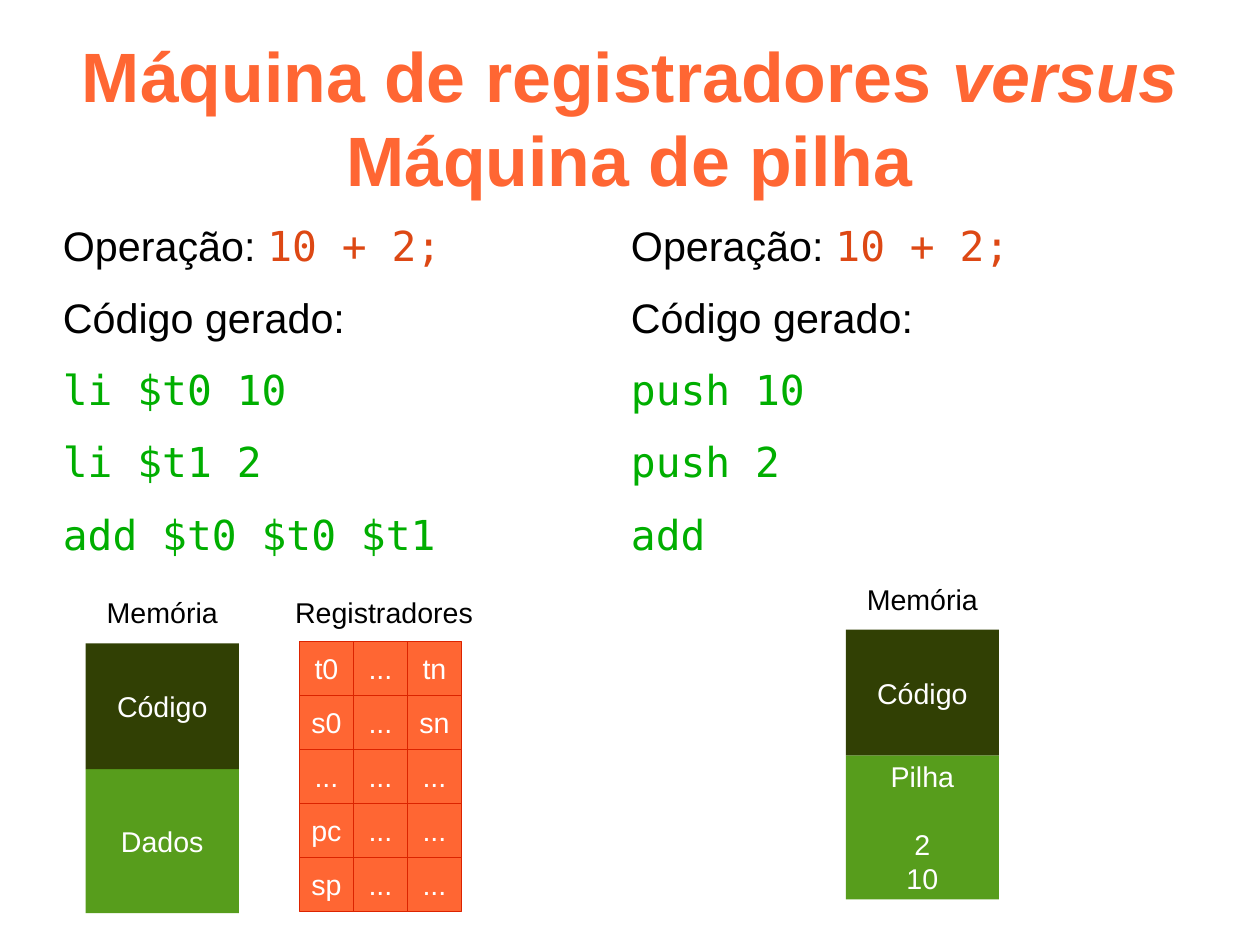
from pptx import Presentation
from pptx.dml.color import RGBColor
from pptx.enum.shapes import MSO_SHAPE as Shape
from pptx.enum.text import MSO_ANCHOR as Anchor, MSO_AUTO_SIZE as AutoSize, PP_ALIGN as Align
from pptx.oxml.xmlchemy import OxmlElement
from pptx.util import Cm, Inches, Pt

BLACK = RGBColor(0x00, 0x00, 0x00)
WHITE = RGBColor(0xFF, 0xFF, 0xFF)
ORANGE = RGBColor(0xFF, 0x66, 0x33)
RED = RGBColor(0xDC, 0x23, 0x00)
OPERATION_RED = RGBColor(0xDD, 0x48, 0x14)
CODE_GREEN = RGBColor(0x00, 0xAE, 0x00)
DARK_GREEN = RGBColor(0x31, 0x40, 0x04)
LIGHT_GREEN = RGBColor(0x57, 0x9D, 0x1C)
SANS, MONO = "Arial", "DejaVu Sans Mono"

TITLE_BOX = (0.55, 0.33, 9.92, 1.38)
COLUMN_LEFTS = (0.55, 5.52)
COLUMN_TOP, COLUMN_WIDTH, COLUMN_HEIGHT = 1.93, 4.73, 4.79
DIAGRAM_TOP, STACK_TOP = 5.16, 5.04
MEMORY_WIDTH, CODE_HEIGHT, DATA_HEIGHT = 1.34, 1.1, 1.26
LABEL_WIDTH, LABEL_HEIGHT, LABEL_STEP = 1.17, 0.38, 0.47
CELL = Cm(1.2).inches
REGISTERS = (("t0", "...", "tn"), ("s0", "...", "sn"), ("...",) * 3,
             ("pc", "...", "..."), ("sp", "...", "..."))


def place(shape, left, top, width, height):
    """Move a placeholder to a box in inches and clear its margins."""
    shape.left, shape.top = Inches(left), Inches(top)
    shape.width, shape.height = Inches(width), Inches(height)
    frame = shape.text_frame
    frame.margin_left = frame.margin_right = frame.margin_top = frame.margin_bottom = 0
    frame.word_wrap, frame.auto_size = True, AutoSize.NONE
    return frame


def add_run(paragraph, text, size, color, font=SANS):
    """Append a formatted run and return it."""
    run = paragraph.add_run()
    run.text = text
    run.font.size, run.font.name, run.font.color.rgb = Pt(size), font, color
    return run


def fill_title(placeholder, box):
    """Write the title with its middle word in italics."""
    frame = place(placeholder, *box)
    frame.vertical_anchor = Anchor.MIDDLE
    paragraph = frame.paragraphs[0]
    paragraph.alignment = Align.CENTER
    for text in ("Máquina de registradores ", "versus", " Máquina de pilha"):
        run = add_run(paragraph, text, 44, ORANGE)
        run.font.bold, run.font.italic = True, text == "versus"


def fill_column(placeholder, left, instructions):
    """Write the operation and the code generated for one machine."""
    frame = place(placeholder, left, COLUMN_TOP, COLUMN_WIDTH, COLUMN_HEIGHT)
    frame.vertical_anchor = Anchor.TOP
    lines = [[("Operação: ", BLACK, SANS), ("10 + 2;", OPERATION_RED, MONO)],
             [("Código gerado:", BLACK, SANS)]]
    lines += [[(instruction, CODE_GREEN, MONO)] for instruction in instructions]
    for index, line in enumerate(lines):
        paragraph = frame.add_paragraph() if index else frame.paragraphs[0]
        paragraph.space_before, paragraph.space_after = Pt(0), Pt(14.2)
        properties = paragraph._p.get_or_add_pPr()
        properties.set("marL", "0")
        properties.set("indent", "0")
        properties.append(OxmlElement("a:buNone"))
        for text, color, font in line:
            add_run(paragraph, text, 26, color, font)


def write_centred(frame, text, color):
    """Write centred 18-point lines that do not wrap."""
    frame.word_wrap = False
    frame.text = text
    for paragraph in frame.paragraphs:
        paragraph.alignment = Align.CENTER
        font = paragraph.runs[0].font
        font.size, font.name, font.color.rgb = Pt(18), SANS, color


def add_label(shapes, text, left, top, width):
    """Add the caption above a diagram."""
    label = shapes.add_textbox(Inches(left), Inches(top), Inches(width), Inches(LABEL_HEIGHT))
    write_centred(label.text_frame, text, BLACK)
    label.text_frame.auto_size = AutoSize.SHAPE_TO_FIT_TEXT


def add_block(shapes, text, left, top, width, height, fill, line=None):
    """Add a filled rectangle with centred white text."""
    block = shapes.add_shape(Shape.RECTANGLE, Inches(left), Inches(top), Inches(width), Inches(height))
    block.shadow.inherit = False
    block.fill.solid()
    block.fill.fore_color.rgb = fill
    if line is None:
        block.line.fill.background()
    else:
        block.line.color.rgb, block.line.width = line, Pt(0.57)
    block.text_frame.vertical_anchor = Anchor.MIDDLE
    write_centred(block.text_frame, text, WHITE)
    return block


def add_memory(slide, left, top, data_text):
    """Draw a memory of code over data and return the data block."""
    shapes = slide.shapes.add_group_shape().shapes
    code_top = top + LABEL_STEP
    data = add_block(shapes, data_text, left, code_top + CODE_HEIGHT,
                     MEMORY_WIDTH, DATA_HEIGHT, LIGHT_GREEN)
    add_block(shapes, "Código", left, code_top, MEMORY_WIDTH, CODE_HEIGHT, DARK_GREEN)
    add_label(shapes, "Memória", left + (MEMORY_WIDTH - LABEL_WIDTH) / 2, top, LABEL_WIDTH)
    return data


def add_registers(slide, left, top, width):
    """Draw the captioned grid of registers."""
    add_label(slide.shapes, "Registradores", left, top, width)
    shapes = slide.shapes.add_group_shape().shapes
    for row, names in enumerate(REGISTERS):
        for column, name in enumerate(names):
            add_block(shapes, name, left + 0.14 + column * CELL,
                      top + 0.45 + row * CELL, CELL, CELL, ORANGE, RED)


def main():
    """Build the slide and save it."""
    presentation = Presentation()
    presentation.slide_width, presentation.slide_height = Cm(28), Cm(21)
    slide = presentation.slides.add_slide(presentation.slide_layouts[3])
    title, registers_column, stack_column = slide.placeholders
    fill_title(title, TITLE_BOX)
    fill_column(registers_column, COLUMN_LEFTS[0], ("li $t0 10", "li $t1 2", "add $t0 $t0 $t1"))
    fill_column(stack_column, COLUMN_LEFTS[1], ("push 10", "push 2", "add"))
    add_memory(slide, 0.75, DIAGRAM_TOP, "Dados")
    add_registers(slide, 2.48, DIAGRAM_TOP, 1.76)
    stack = add_memory(slide, 7.4, STACK_TOP, "Pilha\n2\n10")
    stack.text_frame.paragraphs[1].space_before = Pt(21)
    presentation.save("out.pptx")


if __name__ == "__main__":
    main()
